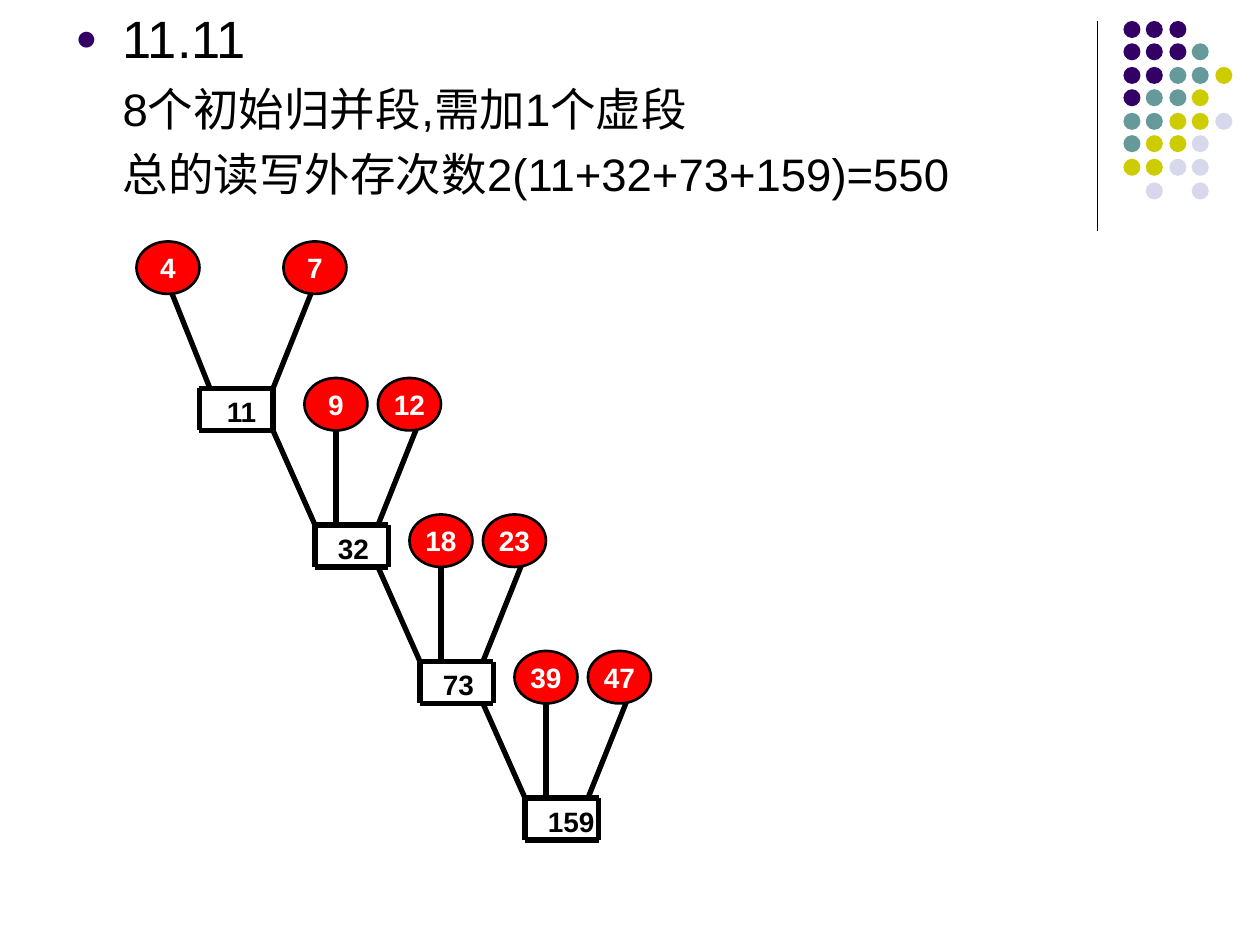
import dataclasses
import typing

import pptx
import pptx.dml.color
import pptx.enum.shapes
import pptx.enum.text
import pptx.oxml
import pptx.oxml.ns
import pptx.util

EMU_PER_PX = 9525
FONT = "Arial"
BLACK, WHITE, RED, PURPLE = "000000", "FFFFFF", "FF0000", "330066"
DOT_COLOURS = {"P": PURPLE, "T": "669999", "Y": "CCCC00", "L": "D8D8EC"}
DOT_ROWS = ["PPP", "PPPT", "PPTTY", "PTTY", "TTYYL", "TYYL", "YYLL", ".L.L"]
BOX_WIDTH, BOX_HEIGHT = 56, 32
RUN_WIDTH, RUN_HEIGHT = 48, 40
RUN_RISE, BRANCH_RISE = 112, 80
FIRST_BOX_TOP, LEVEL_STEP = 296, 104


@dataclasses.dataclass(frozen=True)
class Branch:
    weight: str
    run_dx: int
    start_dx: int
    end_dx: int


@dataclasses.dataclass(frozen=True)
class Merge:
    total: str
    left: int
    branches: tuple[Branch, ...]
    exit_dx: int = 48
    label_dx: int = 8
    centred: bool = False


def upper_merge(total: str, left: int, middle: str, right: str) -> Merge:
    return Merge(total, left, (Branch(middle, -8, 16, 16), Branch(right, 48, 80, 48)))


MERGES = [
    Merge("11", 152, (Branch("4", -48, -24, 8), Branch("7", 64, 88, 56)), 56, -8, True),
    upper_merge("32", 240, "9", "12"),
    upper_merge("73", 320, "18", "23"),
    upper_merge("159", 400, "39", "47"),
]


def px(length: int) -> pptx.util.Emu:
    return pptx.util.Emu(length * EMU_PER_PX)


def rgb(colour: str) -> pptx.dml.color.RGBColor:
    return pptx.dml.color.RGBColor.from_string(colour)


def format_runs(paragraph: typing.Any, size: int, colour: str, bold: bool = False) -> None:
    for run in paragraph.runs:
        run.font.name = FONT
        run.font.size = pptx.util.Pt(size)
        run.font.bold = bold
        run.font.color.rgb = rgb(colour)


def draw_line(shapes: typing.Any, x1: int, y1: int, x2: int, y2: int, width: float = 3) -> None:
    line = shapes.add_connector(
        pptx.enum.shapes.MSO_CONNECTOR.STRAIGHT, px(x1), px(y1), px(x2), px(y2)
    )
    line.line.width = pptx.util.Pt(width)
    line.line.color.rgb = rgb(BLACK)
    line._element.spPr.append(pptx.oxml.parse_xml(
        f"<a:effectLst {pptx.oxml.ns.nsdecls('a')}/>"
    ))


def draw_ellipse(
    shapes: typing.Any, x: int, y: int, width: int, height: int, fill: str
) -> typing.Any:
    ellipse = shapes.add_shape(
        pptx.enum.shapes.MSO_SHAPE.OVAL, px(x), px(y), px(width), px(height)
    )
    ellipse.shadow.inherit = False
    ellipse.fill.solid()
    ellipse.fill.fore_color.rgb = rgb(fill)
    ellipse.line.fill.background()
    return ellipse


def draw_corner(shapes: typing.Any) -> None:
    draw_line(shapes, 836, 16, 836, 176, 0.75)
    for row, colours in enumerate(DOT_ROWS):
        for column, key in enumerate(colours):
            if key in DOT_COLOURS:
                x, y = 856 + column * 123 // 7, 16 + row * 123 // 7
                draw_ellipse(shapes, x, y, 13, 13, DOT_COLOURS[key])


def draw_answer(shapes: typing.Any) -> None:
    frame = shapes.add_textbox(px(48), px(0), px(864), px(643)).text_frame
    frame.word_wrap = True
    frame.text = "11.11\n8个初始归并段,需加1个虚段\n总的读写外存次数2(11+32+73+159)=550"
    heading, *details = frame.paragraphs
    properties = heading._p.get_or_add_pPr()
    properties.set("marL", str(px(36)))
    properties.set("indent", str(px(-36)))
    for tag in (
        f'buClr {{}}><a:srgbClr val="{PURPLE}"/></a:buClr',
        'buSzPct {} val="70000"/',
        f'buFont {{}} typeface="{FONT}"/',
        'buChar {} char="●"/',
    ):
        properties.append(pptx.oxml.parse_xml(
            f"<a:{tag.format(pptx.oxml.ns.nsdecls('a'))}>"
        ))
    format_runs(heading, 30, BLACK)
    for detail in details:
        detail.level = 1
        detail.space_before = pptx.util.Pt(6.5)
        properties = detail._p.get_or_add_pPr()
        properties.set("marL", str(px(72)))
        properties.set("indent", str(px(-36)))
        format_runs(detail, 26, BLACK)


def draw_run(shapes: typing.Any, weight: str, x: int, y: int) -> None:
    node = draw_ellipse(shapes, x, y, RUN_WIDTH, RUN_HEIGHT, RED)
    node.line.color.rgb = rgb(BLACK)
    node.line.width = pptx.util.Pt(1.5)
    frame = node.text_frame
    frame.word_wrap = False
    frame.vertical_anchor = pptx.enum.text.MSO_ANCHOR.MIDDLE
    frame.text = weight
    frame.paragraphs[0].alignment = pptx.enum.text.PP_ALIGN.CENTER
    format_runs(frame.paragraphs[0], 16, WHITE, True)


def draw_merge(shapes: typing.Any, merge: Merge, top: int) -> None:
    left, right, bottom = merge.left, merge.left + BOX_WIDTH, top + BOX_HEIGHT
    for y in (top, bottom):
        draw_line(shapes, left, y, right, y)
    for x in (left, right):
        draw_line(shapes, x, top, x, bottom)
    for branch in merge.branches:
        draw_line(shapes, left + branch.start_dx, top - BRANCH_RISE, left + branch.end_dx, top)
        draw_run(shapes, branch.weight, left + branch.run_dx, top - RUN_RISE)
    frame = shapes.add_textbox(px(left + merge.label_dx), px(top), px(80), px(36)).text_frame
    frame.word_wrap = True
    frame.text = merge.total
    if merge.centred:
        frame.paragraphs[0].alignment = pptx.enum.text.PP_ALIGN.CENTER
    format_runs(frame.paragraphs[0], 16, BLACK, True)


def draw_tree(shapes: typing.Any) -> None:
    for level, merge in enumerate(MERGES):
        top = FIRST_BOX_TOP + level * LEVEL_STEP
        draw_merge(shapes, merge, top)
        if level:
            lower = MERGES[level - 1]
            exit_y = top - LEVEL_STEP + BOX_HEIGHT
            draw_line(shapes, lower.left + lower.exit_dx, exit_y, merge.left, top)


def main() -> None:
    deck = pptx.Presentation()
    deck.slide_width, deck.slide_height = px(960), px(720)
    shapes = deck.slides.add_slide(deck.slide_layouts[6]).shapes
    draw_corner(shapes)
    draw_answer(shapes)
    draw_tree(shapes)
    deck.save("out.pptx")


if __name__ == "__main__":
    main()
